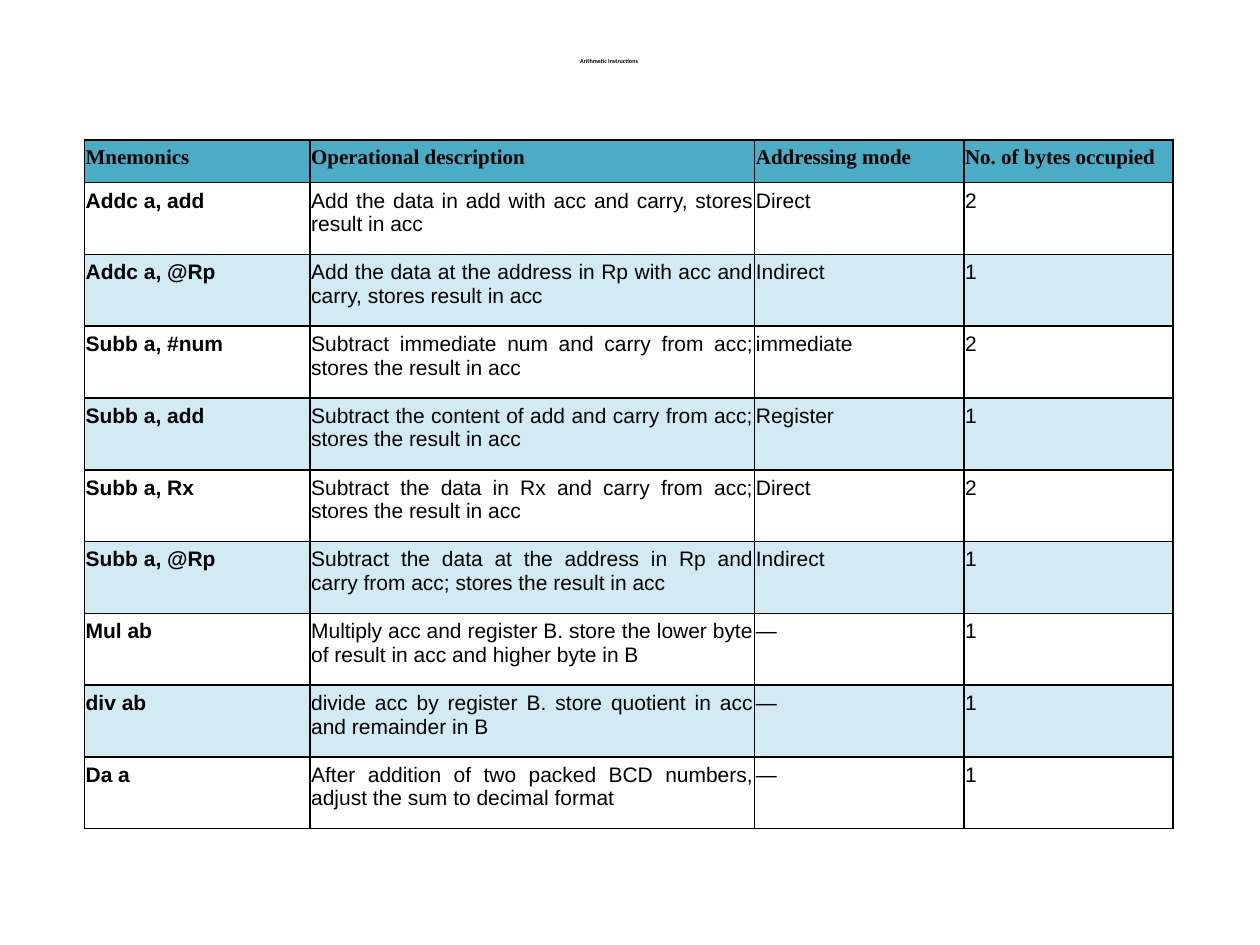
from lxml.etree import SubElement
from pptx import Presentation
from pptx.dml.color import RGBColor
from pptx.enum.text import MSO_ANCHOR as Anchor, PP_ALIGN as Align
from pptx.oxml.ns import qn
from pptx.util import Inches, Pt

HEADINGS = ("Mnemonics", "Operational description", "Addressing mode", "No. of bytes occupied")
INSTRUCTIONS = [
    ("Addc a, add", "Add the data in add with acc and carry, stores result in acc", "Direct", "2"),
    ("Addc a, @Rp", "Add the data at the address in Rp with acc and carry, stores result in acc", "Indirect", "1"),
    ("Subb a, #num", "Subtract immediate num and carry from acc; stores the result in acc", "immediate", "2"),
    ("Subb a, add", "Subtract the content of add and carry from acc; stores the result in acc", "Register", "1"),
    ("Subb a, Rx", "Subtract the data in Rx and carry from acc; stores the result in acc", "Direct", "2"),
    ("Subb a, @Rp", "Subtract the data at the address in Rp and carry from acc; stores the result in acc", "Indirect", "1"),
    ("Mul ab", "Multiply acc and register B. store the lower byte of result in acc and higher byte in B", "—", "1"),
    ("div ab", "divide acc by register B. store quotient in acc and remainder in B", "—", "1"),
    ("Da a", "After addition of two packed BCD numbers, adjust the sum to decimal format", "—", "1"),
]
COLUMN_WIDTHS = (1.79, 3.53, 1.66, 1.66)
HEADER_HEIGHT, ROW_HEIGHT = 0.34, 0.57
HEADER_FILL, BAND_FILL, INK = "4BACC6", "D2EAF1", "000000"


def color(hex_value):
    return RGBColor.from_string(hex_value)


def format_runs(paragraph, font_name, size, bold):
    for run in paragraph.runs:
        run.font.name = font_name
        run.font.size = Pt(size)
        run.font.bold = bold
        run.font.color.rgb = color(INK)


def place_title(slide, left, top, width, height):
    title = slide.shapes.title
    title.left, title.top = Inches(left), Inches(top)
    title.width, title.height = Inches(width), Inches(height)
    frame = title.text_frame
    frame.text = "Arithmetic Instructions"
    frame.vertical_anchor = Anchor.MIDDLE
    frame.margin_bottom = Inches(0.13)
    heading = frame.paragraphs[0]
    heading.alignment = Align.CENTER
    heading.line_spacing = 0.9
    format_runs(heading, "Calibri", 3.5, True)


def add_borders(cell):
    properties = cell._tc.get_or_add_tcPr()
    for index, side in enumerate(("lnL", "lnR", "lnT", "lnB")):
        border = properties.makeelement(qn(f"a:{side}"), {"w": str(Pt(0.96))})
        fill = SubElement(border, qn("a:solidFill"))
        SubElement(fill, qn("a:srgbClr"), val=INK)
        properties.insert(index, border)


def fill_cell(cell, text, font_name, bold, fill):
    cell.margin_left = cell.margin_right = Inches(0.01)
    cell.margin_top = cell.margin_bottom = Inches(0.05)
    cell.text_frame.text = text
    paragraph = cell.text_frame.paragraphs[0]
    paragraph.alignment = Align.JUSTIFY
    format_runs(paragraph, font_name, 12, bold)
    if fill:
        cell.fill.solid()
        cell.fill.fore_color.rgb = color(fill)
    else:
        cell.fill.background()
    add_borders(cell)


def place_instructions(slide, left, top, width, height):
    rows = [HEADINGS, *INSTRUCTIONS]
    table = slide.shapes.add_table(
        len(rows), len(HEADINGS), Inches(left), Inches(top), Inches(width), Inches(height)
    ).table
    table.first_row = table.horz_banding = False
    for column, column_width in zip(table.columns, COLUMN_WIDTHS):
        column.width = Inches(column_width)
    for r, texts in enumerate(rows):
        is_header = r == 0
        table.rows[r].height = Inches(HEADER_HEIGHT if is_header else ROW_HEIGHT)
        font_name = "Times New Roman" if is_header else "Arial"
        fill = HEADER_FILL if is_header else BAND_FILL if r % 2 == 0 else None
        for c, text in enumerate(texts):
            fill_cell(table.cell(r, c), text, font_name, is_header or c == 0, fill)


def main():
    deck = Presentation()
    deck.slide_width, deck.slide_height = Inches(10), Inches(7.5)
    slide = deck.slides.add_slide(deck.slide_layouts[5])
    place_title(slide, 0.36, 0.1, 8.95, 0.85)
    table_height = HEADER_HEIGHT + ROW_HEIGHT * len(INSTRUCTIONS)
    place_instructions(slide, 0.67, 1.11, sum(COLUMN_WIDTHS), table_height)
    deck.save("out.pptx")


if __name__ == "__main__":
    main()
